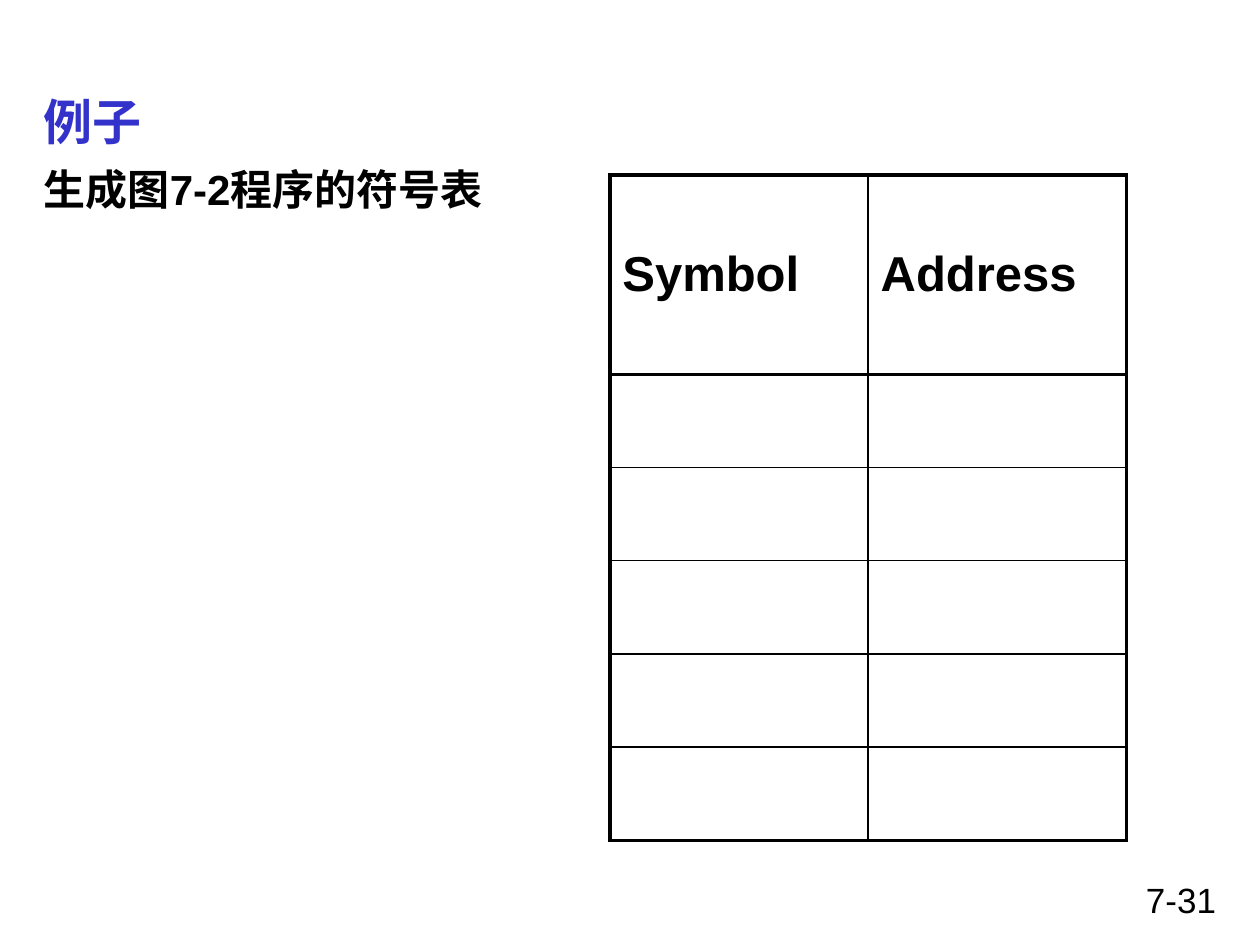
from lxml import etree
from pptx import Presentation, util as u
from pptx.dml.color import RGBColor
from pptx.enum import text as t
from pptx.oxml.ns import qn

# Content
HUES = {"ink": "000000", "blue": "3333CC", "page": "FFFFFF"}
FONT = "Arial"
WIDE, HIGH = 10, 7.5
EDGE = 0.25
HEADS = ["Symbol", "Address"]
BLANKS = 5  # empty rows under the heads
THICK, THIN = 2.25, 1

# words, box, size, hue, bold, align, anchor
LEFT, RIGHT = t.PP_ALIGN.LEFT, t.PP_ALIGN.RIGHT
TOP, MID = t.MSO_ANCHOR.TOP, t.MSO_ANCHOR.MIDDLE
FULL = WIDE - 2 * EDGE
TEXTS = [
    ("例子", (EDGE, 0.67, FULL, 0.58), 28, "blue", True, LEFT, MID),
    ("生成图7-2程序的符号表", (EDGE, 1.25, FULL, 5.42), 24, "ink", True, LEFT, TOP),
    ("7-31", (7.17, 6.92, 2.58, 0.42), 20, "ink", False, RIGHT, TOP),
]
GRID = {"x": 4.84, "y": 1.39, "col": 2.05, "head": 1.58, "row": 0.74}


def write(par, words, size, hue, bold):
    run = par.add_run()
    run.text = words
    font = run.font
    font.name, font.size, font.bold = FONT, u.Pt(size), bold
    font.color.rgb = RGBColor.from_string(HUES[hue])
    etree.SubElement(run._r.get_or_add_rPr(), qn("a:ea")).set("typeface", FONT)


def rule(cell, sides):
    """Draw cell borders; lines must come before the fill."""
    props = cell._tc.get_or_add_tcPr()
    for spot, (side, width) in enumerate(sides.items()):
        line = etree.Element(qn("a:ln" + side), w=str(u.Pt(width)))
        fill = etree.SubElement(line, qn("a:solidFill"))
        etree.SubElement(fill, qn("a:srgbClr"), val=HUES["ink"])
        props.insert(spot, line)


deck = Presentation()
deck.slide_width, deck.slide_height = u.Inches(WIDE), u.Inches(HIGH)
slide = deck.slides.add_slide(deck.slide_layouts[6])
slide.background.fill.solid()
slide.background.fill.fore_color.rgb = RGBColor.from_string(HUES["page"])

# Title, body and page number
for words, box, size, hue, bold, align, anchor in TEXTS:
    frame = slide.shapes.add_textbox(*map(u.Inches, box)).text_frame
    frame.word_wrap = True
    frame.vertical_anchor = anchor
    par = frame.paragraphs[0]
    par.alignment = align
    write(par, words, size, hue, bold)

# Symbol table: heavy frame and head rule, light inner rules
rows, cols = BLANKS + 1, len(HEADS)
wide = GRID["col"] * cols
high = GRID["head"] + GRID["row"] * BLANKS
table = slide.shapes.add_table(
    rows, cols, *map(u.Inches, (GRID["x"], GRID["y"], wide, high))).table
table.first_row = table.horz_banding = False
for col in table.columns:
    col.width = u.Inches(GRID["col"])
for r, row in enumerate(table.rows):
    row.height = u.Inches(GRID["row"] if r else GRID["head"])
    for c, cell in enumerate(row.cells):
        cell.fill.background()
        cell.vertical_anchor = TOP if r else MID
        if r == 0:
            write(cell.text_frame.paragraphs[0], HEADS[c], 28, "ink", True)
        rule(cell, {
            "L": THICK if c == 0 else THIN,
            "R": THICK if c == cols - 1 else THIN,
            "T": THICK if r < 2 else THIN,
            "B": THICK if r in (0, rows - 1) else THIN,
        })

deck.save("out.pptx")
